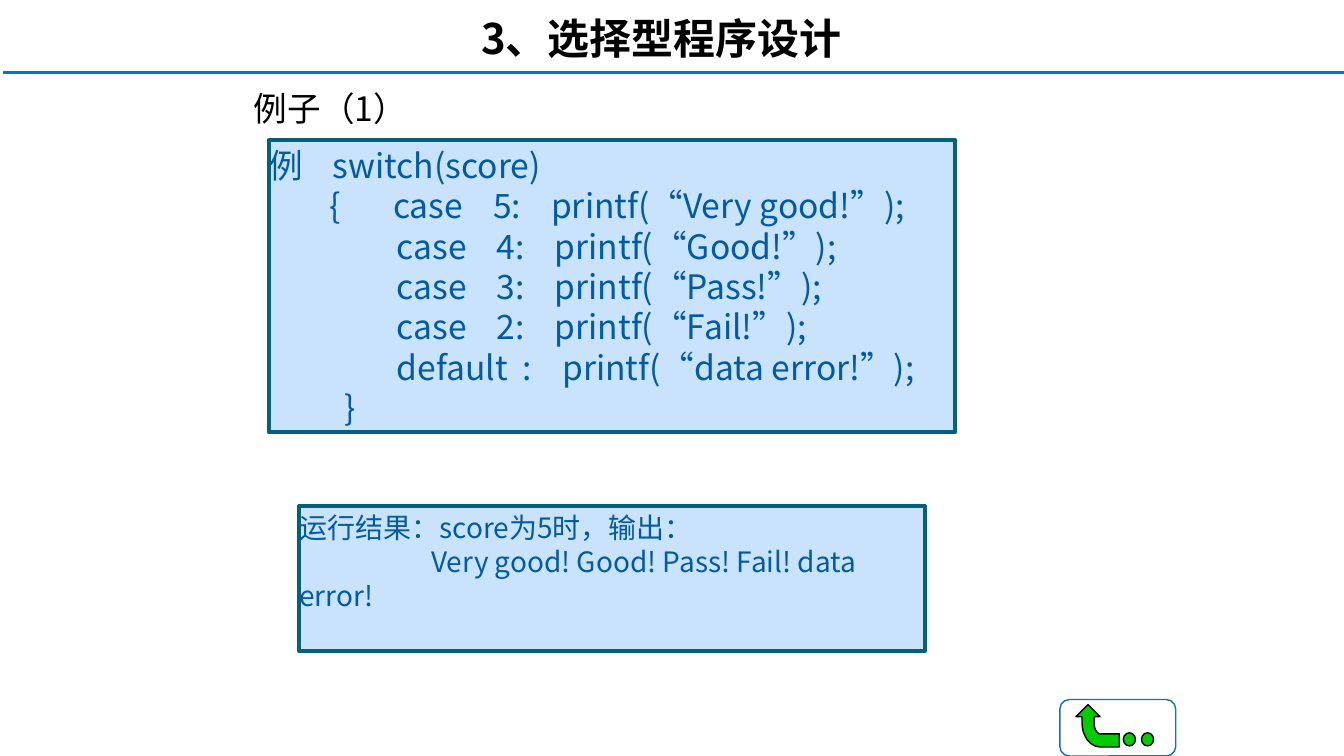
from pptx import Presentation
from pptx.dml.color import RGBColor
from pptx.enum.shapes import MSO_CONNECTOR, MSO_SHAPE
from pptx.enum.text import MSO_ANCHOR, MSO_AUTO_SIZE, PP_ALIGN
from pptx.util import Pt
from lxml import etree

PX = 9144  # 100 px to the inch
FONT = "Noto Sans CJK SC"
NS = "http://schemas.openxmlformats.org/drawingml/2006/main"
RECT, ROUND, OVAL = MSO_SHAPE.RECTANGLE, MSO_SHAPE.ROUNDED_RECTANGLE, MSO_SHAPE.OVAL
TOP, MID = MSO_ANCHOR.TOP, MSO_ANCHOR.MIDDLE
LEFT, MIDDLE = PP_ALIGN.LEFT, PP_ALIGN.CENTER
BLUE, GREEN, BLACK = "0F6FC6", "00CC00", "000000"


def paint(shape, fill, line, width):
    shape.shadow.inherit = False
    if fill:
        shape.fill.solid()
        shape.fill.fore_color.rgb = RGBColor.from_string(fill)
    else:
        shape.fill.background()
    shape.line.color.rgb = RGBColor.from_string(line)
    shape.line.width = Pt(width)


def write(shape, lines, size, color, anchor=TOP, align=LEFT, bold=False, left=10):
    frame = shape.text_frame
    frame.text = "\n".join(lines)
    look = {"word_wrap": True, "auto_size": MSO_AUTO_SIZE.NONE,
            "vertical_anchor": anchor, "margin_left": left * PX,
            "margin_right": 10 * PX, "margin_top": 5 * PX, "margin_bottom": 5 * PX}
    for name, value in look.items():
        setattr(frame, name, value)
    for para in frame.paragraphs:
        para.alignment = align
        para.line_spacing = Pt(size * 1.2)
        para.space_before = Pt(0)
        for run in para.runs:
            for name, value in {"name": FONT, "size": Pt(size), "bold": bold}.items():
                setattr(run.font, name, value)
            run.font.color.rgb = RGBColor.from_string(color)
            east = etree.SubElement(run.font._element, f"{{{NS}}}ea")
            east.set("typeface", FONT)


deck = Presentation()
deck.slide_width, deck.slide_height = 1334 * PX, 750 * PX
slide = deck.slides.add_slide(deck.slide_layouts[5])
shapes = slide.shapes

# Rule under the heading
rule = shapes.add_connector(MSO_CONNECTOR.STRAIGHT, 3 * PX, 72 * PX, 1334 * PX, 72 * PX)
rule.line.color.rgb = RGBColor.from_string(BLUE)
rule.line.width = Pt(2.25)
etree.SubElement(rule._element.spPr, f"{{{NS}}}effectLst")

# Code and its result
code = [
    "例    switch(score)",
    "        {       case    5:    printf(“Very good!”);",
    "                 case    4:    printf(“Good!”);",
    "                 case    3:    printf(“Pass!”);",
    "                 case    2:    printf(“Fail!”);",
    "                 default  :    printf(“data error!”);",
    "          }",
]
result = ["运行结果：score为5时，输出：", "Very good! Good! Pass! Fail! data error!"]
for place, lines, size in [((267, 139, 681, 290), code, 24),
                           ((297, 502, 621, 144), result, 20)]:
    box = shapes.add_shape(RECT, *[n * PX for n in place])
    paint(box, "C8E3FB", "04617B", 3)
    write(box, lines, size, "025AA2", left=0)
indent = box.text_frame.paragraphs[1]._p.get_or_add_pPr()
indent.set("marL", "0")
indent.set("indent", str(131 * PX))

# Title and heading
title = shapes.title
title.left, title.top, title.width, title.height = [n * PX for n in (242, 84, 764, 46)]
write(title, ["例子（1）"], 24, BLACK, anchor=MID)
head = shapes.add_textbox(84 * PX, 7 * PX, 1145 * PX, 60 * PX)
write(head, ["3、选择型程序设计"], 30, BLACK, anchor=MID, align=MIDDLE, bold=True)

# Return button: frame and dots
for kind, place, fill, line in [(ROUND, (1052, 694, 115, 56), None, BLUE),
                                (OVAL, (1115, 727, 12, 13), GREEN, BLACK),
                                (OVAL, (1133, 727, 12, 13), GREEN, BLACK)]:
    paint(shapes.add_shape(kind, *[n * PX for n in place]), fill, line, 1)

# Return arrow, with each bend given by four control points
steps = [i / 8 for i in range(1, 9)]
bends = []
for bend in [((1074, 717), (1074, 730), (1082, 741), (1092, 741)),
             ((1092, 728), (1089, 728), (1086, 723), (1086, 717))]:
    a, b, c, d = bend
    bends.append([a] + [tuple((1 - t) ** 3 * a[k] + 3 * t * (1 - t) ** 2 * b[k]
                              + 3 * t * t * (1 - t) * c[k] + t ** 3 * d[k]
                              for k in (0, 1)) for t in steps])
outer, inner = bends
points = [(1068, 711), (1074, 711), *outer, (1111, 741), (1111, 728),
          *inner, (1086, 711), (1092, 711)]
path = shapes.build_freeform(10800, 6990, scale=PX / 10)
path.add_line_segments([(x * 10, y * 10) for x, y in points], close=True)
paint(path.convert_to_shape(), GREEN, BLACK, 1)

deck.save("out.pptx")
